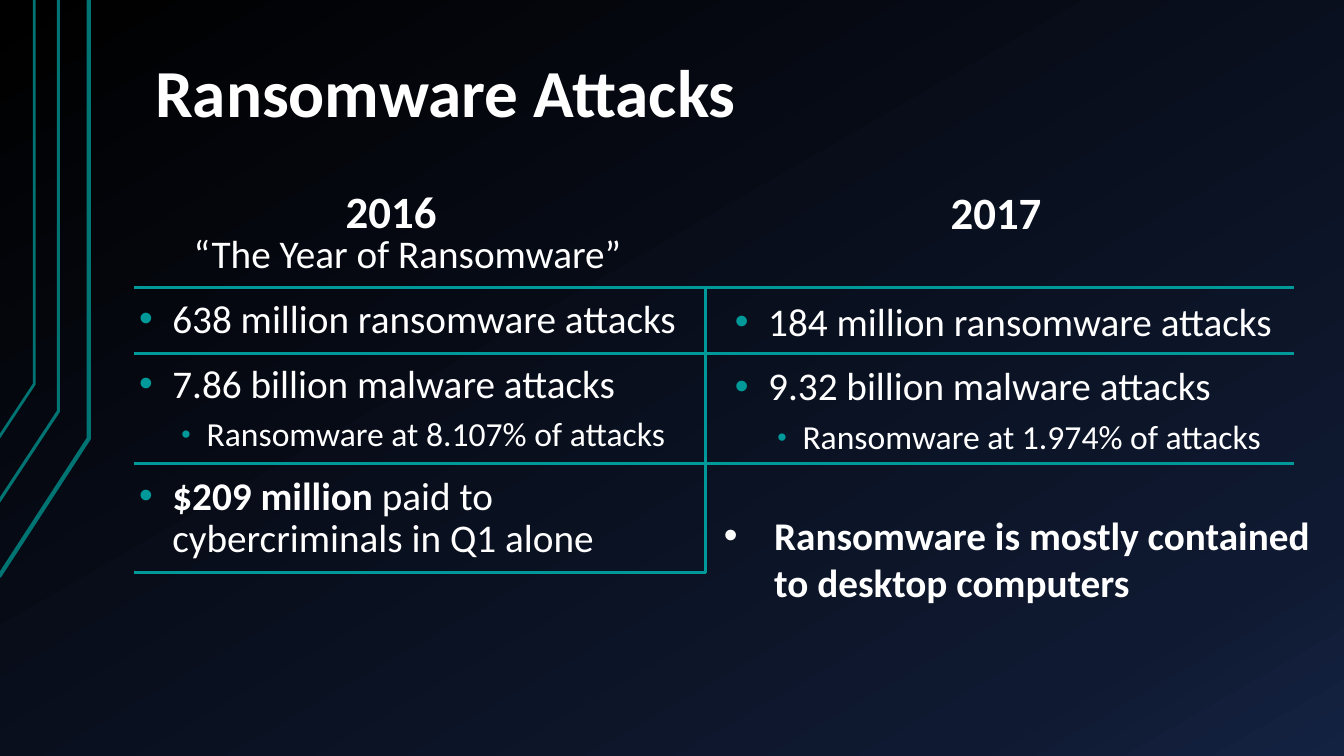
from dataclasses import dataclass
from lxml.etree import SubElement as Sub
from pptx import Presentation
from pptx.dml.color import RGBColor as Rgb
from pptx.enum.text import MSO_ANCHOR as Anchor
from pptx.oxml.ns import qn
from pptx.slide import Slide
from pptx.util import Inches, Pt

HUES = {"text": "FFFFFF", "rule": "009999", "edge": "007373",
        "dark": "000000", "navy": "0F1931", "blue": "142242"}
FONT = "Calibri"


@dataclass(frozen=True)
class Run:
    text: str
    size: int = 28
    bold: bool = False


@dataclass(frozen=True)
class Para:
    runs: tuple[Run, ...]
    left: float = 0
    hang: float = 0
    space: float = 1
    gap: int = 0
    level: int = 0
    hue: str = ""


@dataclass(frozen=True)
class Box:
    left: float
    top: float
    width: float
    height: float
    paras: tuple[Para, ...]
    pad: tuple[float, float] = (0.13, 0.07)
    anchor: Anchor = Anchor.TOP


@dataclass(frozen=True)
class Rule:
    start: tuple[float, float]
    end: tuple[float, float]


@dataclass(frozen=True)
class Trace:
    points: tuple[tuple[float, float], ...]
    width: float


def item(*runs: Run) -> Para:
    return Para(runs, 0.33, -0.33, 0.9, 16, hue="rule")


def sub(text: str) -> Para:
    return Para((Run(text, 24),), 0.67, -0.25, 0.9, 8, 1, "rule")


def year(left: float, top: float, text: str) -> Box:
    para = Para((Run(text, 32, True),))
    return Box(left, top, 1.75, 0.64, (para,), (0.1, 0.05))


TITLE = Para((Run("Ransomware Attacks", 48, True),), space=0.9)
MOTTO = Para((Run("“The Year of Ransomware”"),), 0.54, 0, 0.9, 16)
CLAIM = Para((Run("Ransomware is mostly contained to desktop computers", bold=True),),
             0.5, -0.5, hue="text")

BOXES = (
    Box(1.25, 2.26, 5.67, 3.42, (
        MOTTO,
        item(Run("638 million ransomware attacks")),
        item(Run("7.86 billion malware attacks")),
        sub("Ransomware at 8.107% of attacks"),
        item(Run("$209 million ", bold=True), Run("paid to cybercriminals in Q1 alone")),
    )),
    Box(1.41, 0.5, 7.33, 0.88, (TITLE,), anchor=Anchor.BOTTOM),
    year(9.33, 1.78, "2017"),
    year(3.33, 1.77, "2016"),
    Box(7.16, 2.93, 5.67, 2.83, (
        item(Run("184 million ransomware attacks")),
        item(Run("9.32 billion malware attacks")),
        sub("Ransomware at 1.974% of attacks"),
    )),
    Box(7.08, 5.02, 6.32, 1.51, (CLAIM,), (0.1, 0.05)),
)
LEFT, MID, RIGHT = 1.33, 7, 12.83
TOP, BASE = 2.85, 5.68
RULES = (
    *(Rule((LEFT, y), (RIGHT, y)) for y in (TOP, 3.51, 4.6)),
    Rule((LEFT, BASE), (MID, BASE)),
    Rule((MID, BASE), (MID, TOP)),
)
TRACES = (
    Trace(((-0.01, 5.72), (0.88, 4.35), (0.88, 0)), 3),
    Trace(((-0.02, 4.99), (0.58, 4.08), (0.58, 0)), 2.25),
    Trace(((-0.01, 4.34), (0.34, 3.81), (0.34, 0)), 2),
)
STOPS = ((0, "dark"), (85, "navy"), (100, "blue"))


def tint(name: str) -> Rgb:
    return Rgb.from_string(HUES[name])


def paint(slide: Slide) -> None:
    fill = slide.background.fill
    fill.gradient()
    fill.gradient_angle = 300
    stops = next(slide.element.iter(qn("a:gsLst")))
    stops.clear()
    for spot, name in STOPS:
        stop = Sub(stops, qn("a:gs"), pos=str(spot * 1000))
        Sub(stop, qn("a:srgbClr"), val=HUES[name])


def trace(slide: Slide, spec: Trace) -> None:
    first, *rest = [(Inches(x), Inches(y)) for x, y in spec.points]
    pen = slide.shapes.build_freeform(*first)
    pen.add_line_segments(rest, close=False)
    shape = pen.convert_to_shape()
    shape.shadow.inherit = False
    shape.fill.background()
    shape.line.color.rgb = tint("edge")
    shape.line.width = Pt(spec.width)


def rule(slide: Slide, spec: Rule) -> None:
    ends = [Inches(v) for v in (*spec.start, *spec.end)]
    line = slide.shapes.add_connector(1, *ends)
    line.line.color.rgb = tint("rule")
    line.line.width = Pt(2)
    Sub(line.element.spPr, qn("a:effectLst"))


def write(para, spec: Para) -> None:
    para.level = spec.level
    para.line_spacing = spec.space
    para.space_before = Pt(spec.gap)
    props = para._p.get_or_add_pPr()
    props.set("marL", str(Inches(spec.left)))
    props.set("indent", str(Inches(spec.hang)))
    if spec.hue:
        Sub(Sub(props, qn("a:buClr")), qn("a:srgbClr"), val=HUES[spec.hue])
        Sub(props, qn("a:buSzPct"), val="80000" if spec.level else "100000")
        Sub(props, qn("a:buFont"), typeface="Arial")
        Sub(props, qn("a:buChar"), char="•")
    for part in spec.runs:
        run = para.add_run()
        run.text = part.text
        run.font.name = FONT
        run.font.size = Pt(part.size)
        run.font.bold = part.bold
        run.font.color.rgb = tint("text")


def place(slide: Slide, box: Box) -> None:
    area = [Inches(v) for v in (box.left, box.top, box.width, box.height)]
    frame = slide.shapes.add_textbox(*area).text_frame
    frame.word_wrap = True
    frame.vertical_anchor = box.anchor
    frame.margin_left = frame.margin_right = Inches(box.pad[0])
    frame.margin_top = frame.margin_bottom = Inches(box.pad[1])
    for i, para in enumerate(box.paras):
        write(frame.add_paragraph() if i else frame.paragraphs[0], para)


def main() -> None:
    deck = Presentation()
    deck.slide_width, deck.slide_height = Inches(13.33), Inches(7.5)
    slide = deck.slides.add_slide(deck.slide_layouts[6])
    paint(slide)
    for spec in TRACES:
        trace(slide, spec)
    for box in BOXES:
        place(slide, box)
    for spec in RULES:
        rule(slide, spec)
    deck.save("out.pptx")


if __name__ == "__main__":
    main()
